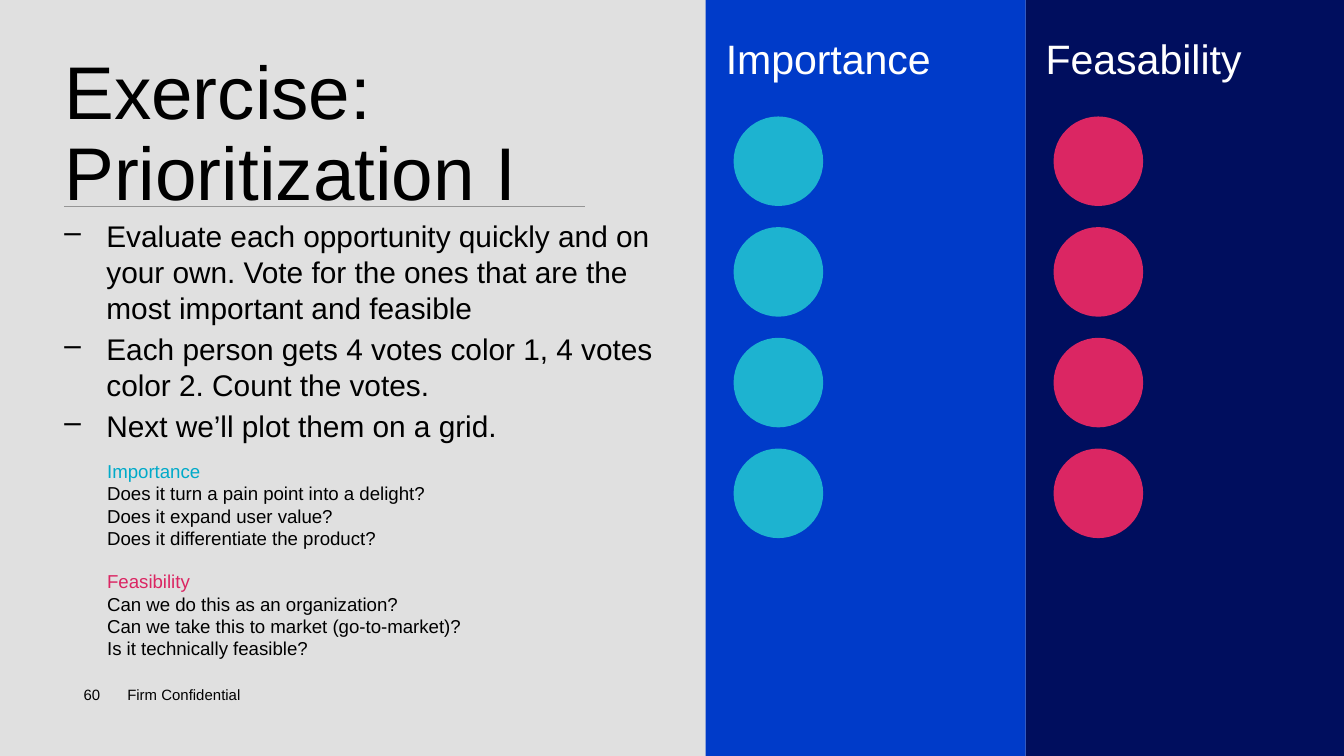
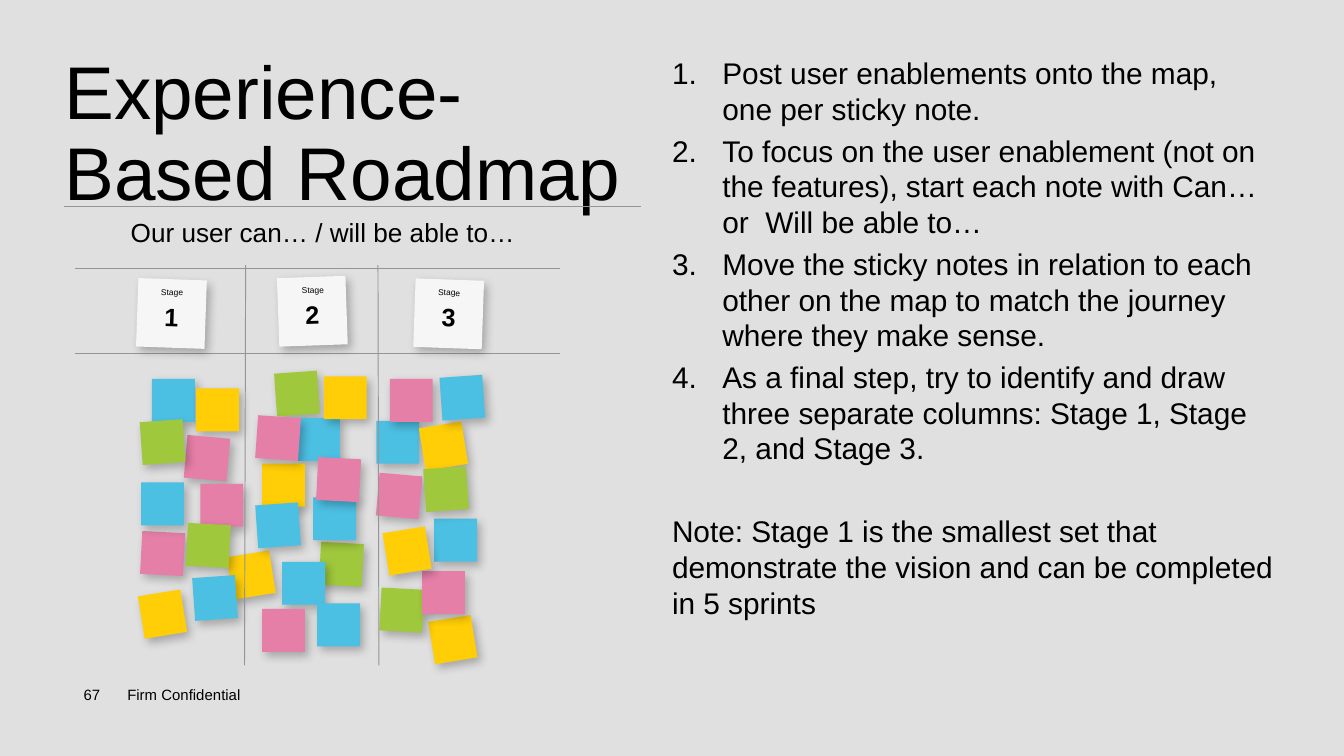
from lxml import etree
from pptx import Presentation
from pptx.dml.color import RGBColor
from pptx.enum.shapes import MSO_CONNECTOR, MSO_SHAPE
from pptx.enum.text import MSO_ANCHOR as ANCHOR, PP_ALIGN as ALIGN
from pptx.oxml import parse_xml
from pptx.oxml.ns import nsdecls, qn
from pptx.util import Pt

FONT = "Arial"
BLACK = RGBColor(0x00, 0x00, 0x00)
WHITE = RGBColor(0xFF, 0xFF, 0xFF)
GRAY = RGBColor(0xE0, 0xE0, 0xE0)
RULE = RGBColor(0x95, 0x95, 0x95)
PAPER = RGBColor(0xF6, 0xF6, 0xF6)
BLUE = RGBColor(0x00, 0x3B, 0xC9)
NAVY = RGBColor(0x00, 0x0E, 0x5E)
TEAL = RGBColor(0x1D, 0xB3, 0xD0)
TEAL_TEXT = RGBColor(0x00, 0xAA, 0xC9)
MAGENTA = RGBColor(0xDB, 0x26, 0x63)
SKY = RGBColor(0x4C, 0xC0, 0xE3)
YELLOW = RGBColor(0xFF, 0xCE, 0x07)
PINK = RGBColor(0xE6, 0x7F, 0xA8)
GREEN = RGBColor(0xA0, 0xC8, 0x3C)

MARGIN = 34.5
DASH = '<a:buChar {} char="–"/>'
NUMBER = '<a:buAutoNum {} type="arabicPeriod"/>'

# Sticky notes from back to front: left, top, colour, rotation
STICKY_SIZE = 23
STICKIES = [
    (41.4, 59, SKY, 0), (65.1, 64.1, YELLOW, 0),
    (59.4, 90, PINK, 5), (35.6, 81.4, GREEN, 356),
    (107.6, 55.4, GREEN, 356), (119.1, 79.9, SKY, 0),
    (100.4, 104.4, YELLOW, 0), (97.5, 79.2, PINK, 4),
    (161.6, 81.4, SKY, 0), (168.8, 59, PINK, 0),
    (186.1, 83.5, YELLOW, 350.8), (131.4, 146.9, GREEN, 3),
    (196.2, 57.6, SKY, 356), (133.5, 57.6, YELLOW, 0),
    (127.8, 122.4, SKY, 0), (35.6, 141.1, PINK, 3),
    (192.6, 133.9, SKY, 0), (67.3, 115.2, PINK, 0),
    (35.6, 114.5, SKY, 0), (83.1, 152.6, YELLOW, 350.8),
    (60.1, 136.8, GREEN, 3), (162.3, 110.2, PINK, 5),
    (111.2, 157, SKY, 0), (97.5, 126, SKY, 356),
    (187.5, 106.6, GREEN, 356), (191.1, 187.2, YELLOW, 350.8),
    (163.8, 171.4, GREEN, 3), (129.9, 179.3, SKY, 0),
    (100.4, 182.2, PINK, 0), (35.6, 173.5, YELLOW, 350.8),
    (63.7, 164.9, SKY, 356), (186.1, 162, PINK, 0),
    (166.6, 139.7, YELLOW, 350.8), (129.9, 101.5, PINK, 3),
]
# Stage cards: number, left, top, rotation
STAGES = [("2", 109, 4.4, 358), ("3", 182, 5.8, 2), ("1", 33.5, 5.6, 2)]


def put_text(shape, lines, size=16, color=BLACK, bold=False, align=ALIGN.LEFT,
             spacing=None, before=0, after=0, bullet=None, indent=0):
    """Write each line as a paragraph, after any text already there."""
    frame = shape.text_frame
    for index, line in enumerate(lines):
        paragraph = frame.paragraphs[-1]
        if paragraph.runs:
            paragraph = frame.add_paragraph()
        if bullet:
            properties = paragraph._p.get_or_add_pPr()
            properties.set("marL", str(Pt(indent)))
            properties.set("indent", str(-Pt(indent)))
            properties.append(parse_xml(bullet.format(nsdecls("a"))))
        paragraph.alignment = align
        paragraph.space_after = Pt(after)
        if before and index == 0:
            paragraph.space_before = Pt(before)
        if spacing:
            paragraph.line_spacing = spacing
        run = paragraph.add_run()
        run.text = line
        run.font.name = FONT
        run.font.size = Pt(size)
        run.font.bold = bold
        run.font.color.rgb = color


def set_frame(shape, insets=(0, 0, 0, 0), anchor=ANCHOR.TOP):
    frame = shape.text_frame
    frame.word_wrap = True
    frame.vertical_anchor = anchor
    (frame.margin_left, frame.margin_top,
     frame.margin_right, frame.margin_bottom) = map(Pt, insets)


def add_text(slide, box, lines, anchor=ANCHOR.TOP, rotation=0, **style):
    shape = slide.shapes.add_textbox(*map(Pt, box))
    shape.rotation = rotation
    set_frame(shape, anchor=anchor)
    put_text(shape, lines, **style)
    return shape


def add_filled(slide, kind, box, color, rotation=0):
    shape = slide.shapes.add_shape(kind, *map(Pt, box))
    shape.rotation = rotation
    shape.shadow.inherit = False
    shape.fill.solid()
    shape.fill.fore_color.rgb = color
    shape.line.fill.background()
    return shape


def add_note(slide, box, color, rotation):
    """A paper square with a soft shadow."""
    shape = add_filled(slide, MSO_SHAPE.RECTANGLE, box, color, rotation)
    effects = shape._element.spPr.find(qn("a:effectLst"))
    effects.append(parse_xml(
        f'<a:outerShdw {nsdecls("a")} blurRad="{Pt(5)}" dist="{Pt(3)}" '
        f'dir="{51 * 60000}" algn="tl" rotWithShape="0"><a:srgbClr val="{BLACK}">'
        '<a:alpha val="25000"/></a:srgbClr></a:outerShdw>'))


def add_rule(slide, *ends):
    line = slide.shapes.add_connector(MSO_CONNECTOR.STRAIGHT, *map(Pt, ends))
    line.line.color.rgb = RULE
    line.line.width = Pt(0.5)
    etree.SubElement(line._element.spPr, qn("a:effectLst"))


def add_base(presentation, title, page, rule_width):
    """Background, title with its rule, and footer."""
    slide = presentation.slides.add_slide(presentation.slide_layouts[6])
    slide.background.fill.solid()
    slide.background.fill.fore_color.rgb = GRAY
    add_text(slide, (MARGIN, 29.5, 309, 80), [title], size=40, spacing=0.9)
    add_rule(slide, MARGIN, 110.7, MARGIN + rule_width, 110.7)
    add_text(slide, (MARGIN, 364.3, 29.5, 16), [page], size=8,
             align=ALIGN.CENTER, anchor=ANCHOR.MIDDLE)
    add_text(slide, (68.2, 364.3, 108, 16), ["Firm Confidential"], size=8,
             anchor=ANCHOR.MIDDLE)
    return slide


def add_vote_band(slide, box, heading, band_color, dot_color):
    """A full-height band with a heading and four vote dots."""
    left, top, _, _ = box
    band = add_filled(slide, MSO_SHAPE.RECTANGLE, box, band_color)
    set_frame(band, (10.8, 18, 7.2, 3.6))
    put_text(band, [heading], size=22, color=WHITE, after=3)
    for row in range(4):
        add_filled(slide, MSO_SHAPE.OVAL,
                   (left + 15, top + 62.4 + 59.3 * row, 48, 48), dot_color)


def add_questions(slide, box, heading, color, questions):
    shape = add_text(slide, box, [heading], size=10, color=color,
                     anchor=ANCHOR.MIDDLE)
    put_text(shape, questions, size=10)


def add_stage_card(slide, box, number, rotation):
    left, top, width, _ = box
    add_note(slide, box, PAPER, rotation)
    label = dict(rotation=rotation, anchor=ANCHOR.MIDDLE, align=ALIGN.CENTER)
    add_text(slide, (left + 0.3, top + 3.9, width, 6), ["Stage"], size=4.5, **label)
    add_text(slide, (left, top + 17, width, 10), [number], size=13.5,
             bold=True, spacing=0.7, **label)


def add_roadmap(slide, box):
    """Sticky notes on a grid with three stage columns."""
    left, top, width, height = box
    for x, y, color, rotation in STICKIES:
        add_note(slide, (left + x, top + y, STICKY_SIZE, STICKY_SIZE), color, rotation)
    # Grid lines
    for y in (0, 45.2):
        add_rule(slide, left + width, top + y, left, top + y)
    for bottom_x, top_x in ((91, 91.6), (163, 162.5)):
        add_rule(slide, left + bottom_x, top + height, left + top_x, top - 2)
    # Stage cards
    for number, x, y, rotation in STAGES:
        add_stage_card(slide, (left + x, top + y, 36.7, 36.7), number, rotation)


def build_prioritization(presentation):
    slide = add_base(presentation, "Exercise: Prioritization I", "60", 278.7)
    add_text(slide, (MARGIN, 116.6, 322.6, 124), [
        "Evaluate each opportunity quickly and on your own. "
        "Vote for the ones that are the most important and feasible",
        "Each person gets 4 votes color 1, 4 votes color 2. Count the votes.",
        "Next we’ll plot them on a grid.",
    ], after=3, bullet=DASH, indent=22.5)
    # Voting bands
    add_vote_band(slide, (549.4, 0, 170.6, 405), "Feasability", NAVY, MAGENTA)
    add_vote_band(slide, (378, 0, 171.4, 405), "Importance", BLUE, TEAL)
    # Guiding questions
    add_questions(slide, (57.4, 246.4, 204, 48), "Importance", TEAL_TEXT, [
        "Does it turn a pain point into a delight?",
        "Does it expand user value?",
        "Does it differentiate the product?",
    ])
    add_questions(slide, (57.4, 305.4, 204, 48), "Feasibility", MAGENTA, [
        "Can we do this as an organization?",
        "Can we take this to market (go-to-market)?",
        "Is it technically feasible?",
    ])


def build_roadmap(presentation):
    slide = add_base(presentation, "Experience-Based Roadmap", "67", 309)
    steps = add_text(slide, (360, 29.5, 322.6, 327), [
        "Post user enablements onto the map, one per sticky note.",
        "To focus on the user enablement (not on the features), "
        "start each note with Can… or  Will be able to…",
        "Move the sticky notes in relation to each other on the map "
        "to match the journey where they make sense.",
        "As a final step, try to identify and draw three separate columns: "
        "Stage 1, Stage 2, and Stage 3.",
    ], after=3, bullet=NUMBER, indent=27)
    put_text(steps, ["Note: Stage 1 is the smallest set that demonstrate the vision "
                     "and can be completed in 5 sprints"], before=22.3, after=3)
    # Map with its caption
    add_text(slide, (MARGIN, 116, 277, 18), ["Our user can… / will be able to…"],
             size=14, align=ALIGN.CENTER)
    add_roadmap(slide, (40, 144, 260, 212.4))


def main():
    presentation = Presentation()
    presentation.slide_width = Pt(720)
    presentation.slide_height = Pt(405)
    build_prioritization(presentation)
    build_roadmap(presentation)
    presentation.save("out.pptx")


if __name__ == "__main__":
    main()
